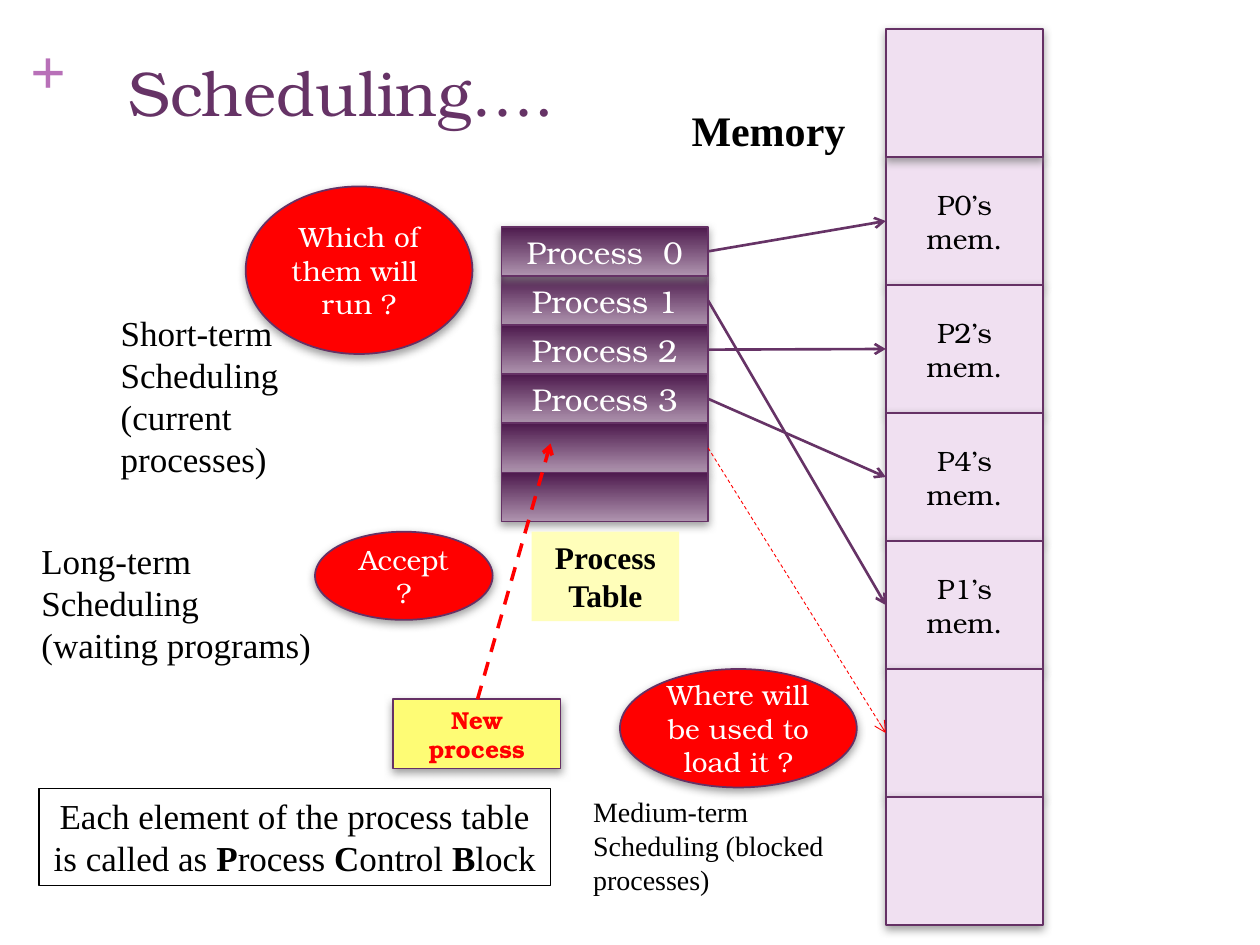
import pptx
import pptx.util
import pptx.dml.color
import pptx.enum.dml
import pptx.enum.shapes
import pptx.enum.text
import pptx.oxml
import pptx.oxml.ns
import lxml.etree

Inch, Pt = pptx.util.Inches, pptx.util.Pt
Kind = pptx.enum.shapes.MSO_SHAPE
Align = pptx.enum.text.PP_ALIGN
Anchor = pptx.enum.text.MSO_ANCHOR
BONUM, TIMES = "TeX Gyre Bonum", "Times New Roman"
HUE = {"plum": "663366", "edge": "653165", "dark": "4D1A4D", "pale": "AF94AF",
       "lilac": "F0E0F1", "mauve": "B870B8", "red": "FF0000", "gold": "FEFC75",
       "cream": "FFFEBA", "gray": "808080", "white": "FFFFFF", "black": "000000"}

# Content: table rows, memory cells, links from row to cell
ROWS = ["Process  0", "Process 1", "Process 2", "Process 3", "", ""]
CELLS = ["", "P0’s mem.", "P2’s mem.", "P4’s mem.", "P1’s mem.", "", ""]
LINKS = [(0, 1), (1, 4), (2, 2), (3, 3), (4, 5)]
TABLE = (3.98, 1.8, 1.64, 0.39)
MEMORY = (7.03, 0.23, 1.25, 1.016)
BALLOONS = [
    ("Accept ?", (2.5, 4.22, 1.41, 0.7)),
    ("Where will be used to load it ?", (4.92, 5.31, 1.88, 0.94)),
    ("Which of them will  run ?", (1.95, 1.48, 1.8, 1.33)),
]
# Text, place, size, bold
NOTES = [
    (["Long-term Scheduling", "(waiting programs)"], (0.23, 4.23, 2.42, 1.11), 20, False),
    (["Medium-term Scheduling (blocked processes)"], (4.61, 6.26, 2.34, 0.91), 16, False),
    (["Short-term Scheduling", "(current processes)"], (0.86, 2.42, 1.64, 1.45), 20, False),
    (["Memory"], (5.39, 0.78, 1.56, 0.5), 24, True),
]
BLOCK = [("Each element of the process table is called as ", False), ("P", True),
         ("rocess ", False), ("C", True), ("ontrol ", False), ("B", True), ("lock", False)]


def rgb(hue):
    return pptx.dml.color.RGBColor.from_string(HUE[hue])


def write(shape, paras, size, face, hue, align=Align.LEFT, bold=False, **frame):
    """Each paragraph is a string or a list of (text, bold) runs."""
    box = shape.text_frame
    for name, value in {"word_wrap": True, **frame}.items():
        setattr(box, name, value)
    for i, para in enumerate(paras):
        line = box.paragraphs[0] if i == 0 else box.add_paragraph()
        line.alignment = align
        for text, heavy in [(para, bold)] if isinstance(para, str) else para:
            run = line.add_run()
            run.text = text
            for name, value in {"size": Pt(size), "name": face, "bold": heavy}.items():
                setattr(run.font, name, value)
            run.font.color.rgb = rgb(hue)


def paint(shape, fill=None, edge=None, width=1):
    if fill:
        shape.fill.solid()
        shape.fill.fore_color.rgb = rgb(fill)
    if edge:
        shape.line.color.rgb = rgb(edge)
        shape.line.width = Pt(width)


def block(kind, place, fill, text, size, hue, bold=False):
    shape = slide.shapes.add_shape(kind, *map(Inch, place))
    shape.shadow.inherit = False
    paint(shape, fill, "edge")
    if fill is None:
        shape.fill.gradient()
        shape.fill.gradient_angle = 270
        for stop, tone in zip(shape.fill.gradient_stops, ("dark", "pale")):
            stop.color.rgb = rgb(tone)
    # Soft shadow below
    effects = shape._element.spPr.find(pptx.oxml.ns.qn("a:effectLst"))
    effects.append(pptx.oxml.parse_xml(
        f'<a:outerShdw {pptx.oxml.ns.nsdecls("a")} blurRad="{Pt(5)}" dist="{Pt(2)}" '
        f'dir="5400000" rotWithShape="0"><a:srgbClr val="{HUE["gray"]}">'
        '<a:alpha val="75000"/></a:srgbClr></a:outerShdw>'))
    if text:
        write(shape, [text], size, BONUM, hue, Align.CENTER, bold,
              vertical_anchor=Anchor.MIDDLE)


def stack(texts, grid, fill, size, hue):
    left, top, wide, high = grid
    # The first block goes on top of the others
    for i in [*range(1, len(texts)), 0]:
        block(Kind.RECTANGLE, (left, top + i * high, wide, high), fill, texts[i], size, hue)


def arrow(start, end, hue, width, dash=False):
    link = slide.shapes.add_connector(pptx.enum.shapes.MSO_CONNECTOR.STRAIGHT,
                                      *map(Inch, (*start, *end)))
    paint(link, None, hue, width)
    if dash:
        link.line.dash_style = pptx.enum.dml.MSO_LINE.DASH
    tag = pptx.oxml.ns.qn
    lxml.etree.SubElement(link.line._get_or_add_ln(), tag("a:tailEnd"), type="arrow")
    lxml.etree.SubElement(link._element.spPr, tag("a:effectLst"))


def label(paras, place, *style, **more):
    shape = slide.shapes.add_textbox(*map(Inch, place))
    write(shape, paras, *style, **more)
    return shape


deck = pptx.Presentation()
deck.slide_width, deck.slide_height = Inch(10), Inch(7.5)
slide = deck.slides.add_slide(deck.slide_layouts[5])

# Title and its plus sign
title = slide.shapes.title
for side, value in zip(("left", "top", "width", "height"), (0.92, 0.31, 8.26, 0.83)):
    setattr(title, side, Inch(value))
write(title, ["Scheduling…."], 36, BONUM, "plum", vertical_anchor=Anchor.MIDDLE,
      auto_size=pptx.enum.text.MSO_AUTO_SIZE.NONE)
label(["+"], (0.24, 0.25, 0.29, 0.61), 36, TIMES, "mauve", bold=True,
      margin_left=0, margin_right=0, margin_top=0, margin_bottom=0)

# Process table, new process, memory
stack(ROWS, TABLE, None, 18, "white")
block(Kind.RECTANGLE, (3.12, 5.55, 1.33, 0.55), "gold", "New process", 14, "red", True)
arrow((3.79, 5.55), (4.37, 3.52), "red", 2, True)
stack(CELLS, MEMORY, "lilac", 16, "black")

# Questions and notes
for text, place in BALLOONS:
    block(Kind.OVAL, place, "red", text, 16, "white")
for paras, place, size, bold in NOTES:
    label(paras, place, size, TIMES, "black", bold=bold)

# Links from the middle of a row to the middle of a cell
for row, cell in LINKS:
    start = (TABLE[0] + TABLE[2], TABLE[1] + (row + 0.5) * TABLE[3])
    end = (MEMORY[0], MEMORY[1] + (cell + 0.5) * MEMORY[3])
    fresh = not ROWS[row]
    arrow(start, end, "red" if fresh else "plum", 0.5 if fresh else 1.5, fresh)

# Captions
paint(label(["Process Table"], (4.22, 4.22, 1.17, 0.71), 18, TIMES, "black",
            align=Align.CENTER, bold=True), "cream")
paint(label([BLOCK], (0.31, 6.26, 4.06, 0.77), 20, TIMES, "black",
            align=Align.CENTER), None, "black", 0.75)

deck.save("out.pptx")
